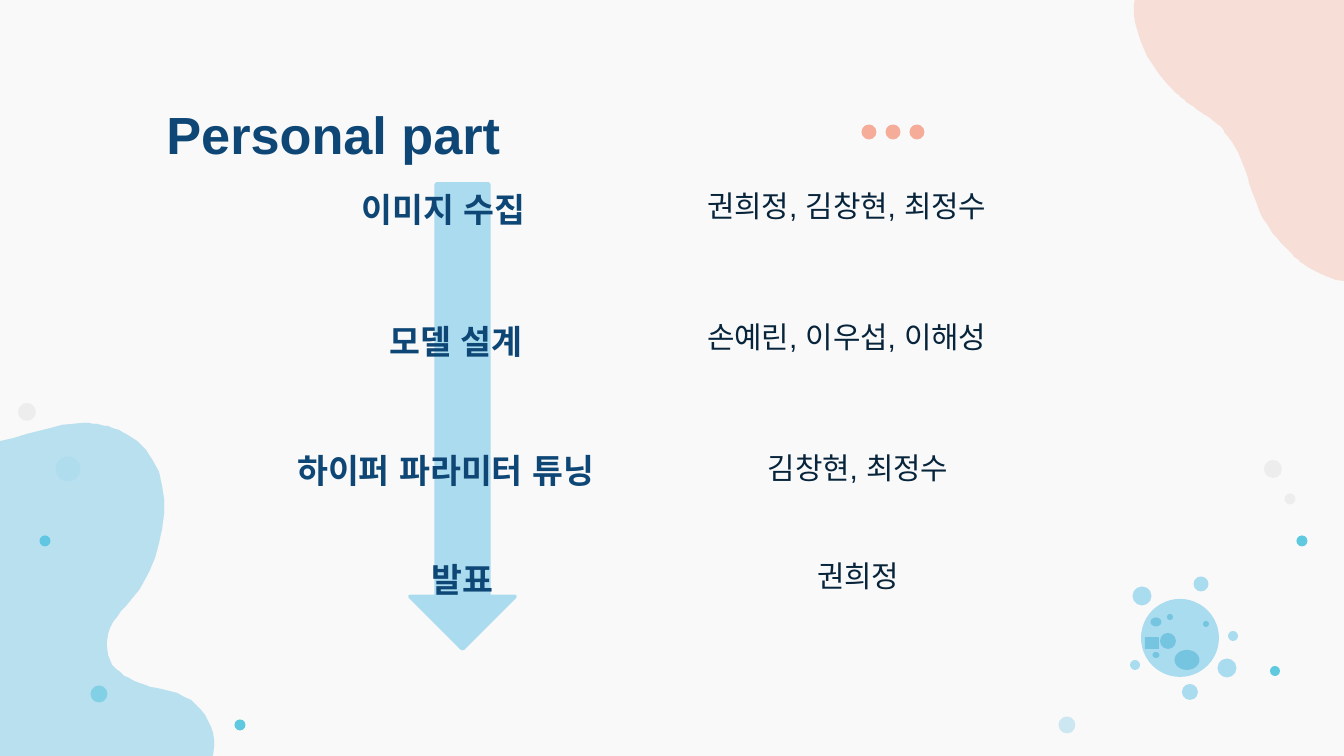
"""Build the "Personal part" slide: a downward flow of tasks and the people doing them."""
from dataclasses import dataclass

from lxml import etree
from pptx import Presentation
from pptx.dml.color import RGBColor
from pptx.enum import shapes, text
from pptx.oxml.ns import qn

PX = 914400 / 134.4
BACKGROUND = RGBColor(0xF9, 0xF9, 0xF9)
CORAL = RGBColor(0xF5, 0xAD, 0x9A)
SKY = RGBColor(0xAA, 0xDB, 0xEE)
PLANET = RGBColor(0xAA, 0xDC, 0xEF)
CRATER = RGBColor(0x75, 0xC4, 0xE0)
TEAL = RGBColor(0x02, 0xAC, 0xD0)
GRAY = RGBColor(0xED, 0xED, 0xED)
NAVY = RGBColor(0x0E, 0x47, 0x76)
INK = RGBColor(0x07, 0x24, 0x3B)

Point = tuple[int, int]


@dataclass(frozen=True)
class Dot:
    center_x: int
    center_y: int
    width: int
    height: int
    color: RGBColor
    opacity: int = 100


@dataclass(frozen=True)
class Blob:
    points: list[Point]
    color: RGBColor
    opacity: int


@dataclass(frozen=True)
class Label:
    words: str
    left: int
    top: int
    width: int
    height: int
    size: int
    color: RGBColor
    bold: bool = False
    centered: bool = False


CORAL_BLOB = Blob([
    (1289, 251), (1294, 257), (1300, 262), (1306, 266), (1334, 285), (1370, 289), (1394, 267),
    (1403, 259), (1419, 247), (1434, 239), (1447, 234), (1500, 223), (1513, 192),
    (1550, 110), (1510, 35), (1456, -19), (1413, -62), (1362, -90), (1337, -93),
    (1292, -98), (1207, -79), (1191, -73), (1177, -67), (1165, -56), (1154, -44),
    (1141, -30), (1133, -6), (1134, 15), (1137, 43), (1153, 70), (1173, 90),
    (1179, 95), (1184, 101), (1191, 105), (1202, 113), (1213, 120), (1222, 128),
    (1223, 129), (1224, 131), (1225, 133), (1241, 151), (1245, 172), (1253, 194),
    (1260, 215), (1271, 235), (1289, 251),
], CORAL, 34)
SKY_BLOB = Blob([
    (82, 423), (47, 423), (-16, 452), (-60, 454), (-64, 456), (-69, 456), (-73, 456),
    (-93, 456), (-117, 453), (-140, 453), (-175, 453), (-210, 460), (-233, 492),
    (-278, 563), (-364, 558), (-364, 622), (-364, 677), (-293, 694), (-293, 801),
    (-293, 801), (121, 801), (121, 801), (181, 801), (211, 781), (214, 747),
    (215, 719), (196, 695), (161, 689), (141, 685), (113, 676), (108, 655),
    (99, 625), (130, 606), (142, 585), (172, 534), (175, 458), (126, 434),
    (112, 426), (97, 423), (82, 423),
], SKY, 57)

BUBBLES = [
    Dot(68, 469, 25, 25, SKY, 57), Dot(99, 694, 17, 17, TEAL, 62),
    Dot(1290, 499, 11, 11, GRAY), Dot(27, 412, 18, 18, GRAY),
    Dot(45, 541, 11, 11, TEAL), Dot(240, 725, 11, 11, TEAL, 62),
    Dot(1275, 671, 10, 10, TEAL, 62), Dot(1067, 725, 17, 17, SKY, 57),
    Dot(1273, 469, 18, 18, GRAY), Dot(1302, 541, 11, 11, TEAL, 62),
]
PLANET_DOTS = [
    Dot(1190, 692, 16, 16, PLANET), Dot(1201, 584, 15, 15, PLANET),
    Dot(1227, 668, 19, 19, PLANET), Dot(1142, 596, 19, 19, PLANET),
    Dot(1135, 665, 10, 10, PLANET), Dot(1233, 636, 10, 10, PLANET),
    Dot(1180, 638, 78, 78, PLANET), Dot(1156, 655, 7, 6, CRATER),
    Dot(1168, 641, 16, 16, CRATER), Dot(1187, 660, 25, 20, CRATER),
    Dot(1156, 622, 11, 9, CRATER), Dot(1206, 624, 6, 6, CRATER),
    Dot(1170, 617, 6, 6, CRATER),
]
CORAL_DOTS = [Dot(869 + 24 * index, 132, 15, 15, CORAL) for index in range(3)]

TITLE = Label("Personal part", 153, 89, 566, 70, 28, NAVY, True)
TASKS = [
    Label("이미지 수집", 348, 191, 328, 36, 18, NAVY, True),
    Label("모델 설계", 376, 323, 328, 36, 18, NAVY, True),
    Label("하이퍼 파라미터 튜닝", 284, 453, 403, 34, 18, NAVY, True),
    Label("발표", 261, 562, 403, 34, 18, NAVY, True, True),
]
PEOPLE = [
    Label(names, 694, top, 328, 36, 16, INK, centered=centered)
    for names, top, centered in (
        ("권희정, 김창현, 최정수", 188, False),
        ("손예린, 이우섭, 이해성", 319, False),
        ("김창현, 최정수", 450, True),
        ("권희정", 558, True),
    )
]


def emu(*lengths: int) -> list[int]:
    return [round(length * PX) for length in lengths]


def paint(shape, color: RGBColor, opacity: int = 100) -> None:
    shape.shadow.inherit = False
    shape.fill.solid()
    shape.fill.fore_color.rgb = color
    shape.line.fill.background()
    if opacity < 100:
        color_element = shape._element.spPr.find(f"{qn('a:solidFill')}/{qn('a:srgbClr')}")
        etree.SubElement(color_element, qn("a:alpha"), val=str(opacity * 1000))


def draw_dot(slide, dot: Dot, kind=shapes.MSO_SHAPE.OVAL) -> None:
    left, top = dot.center_x - dot.width / 2, dot.center_y - dot.height / 2
    shape = slide.shapes.add_shape(kind, *emu(left, top, dot.width, dot.height))
    paint(shape, dot.color, dot.opacity)


def curve_points(points: list[Point], steps: int = 12) -> list[tuple[float, float]]:
    outline = []
    for start in range(0, len(points) - 1, 3):
        corners = points[start:start + 4]
        for step in range(1, steps + 1):
            t = step / steps
            weights = ((1 - t) ** 3, 3 * t * (1 - t) ** 2, 3 * t * t * (1 - t), t ** 3)
            outline.append(tuple(
                sum(weight * corner[axis] for weight, corner in zip(weights, corners))
                for axis in (0, 1)
            ))
    return outline


def draw_blob(slide, blob: Blob) -> None:
    builder = slide.shapes.build_freeform(*blob.points[0], scale=PX)
    builder.add_line_segments(curve_points(blob.points), close=True)
    paint(builder.convert_to_shape(), blob.color, blob.opacity)


def write_label(shape, label: Label, anchor=text.MSO_ANCHOR.MIDDLE) -> None:
    shape.left, shape.top, shape.width, shape.height = emu(
        label.left, label.top, label.width, label.height)
    frame = shape.text_frame
    frame.text = label.words
    frame.word_wrap = True
    frame.auto_size = text.MSO_AUTO_SIZE.NONE
    frame.vertical_anchor = anchor
    frame.margin_left = frame.margin_top = frame.margin_right = frame.margin_bottom = 91440
    paragraph = frame.paragraphs[0]
    paragraph.alignment = text.PP_ALIGN.CENTER if label.centered else text.PP_ALIGN.LEFT
    font = paragraph.font
    font.name, font.size, font.bold = "Arial", label.size * 12700, label.bold
    font.color.rgb = label.color
    properties = paragraph._p.find(f"{qn('a:pPr')}/{qn('a:defRPr')}")
    etree.SubElement(properties, qn("a:ea"), typeface="Arial")


def draw_arrow(slide) -> None:
    arrow = slide.shapes.add_shape(shapes.MSO_SHAPE.DOWN_ARROW, *emu(410, 184, 105, 465))
    paint(arrow, SKY)
    arrow.line.color.rgb = SKY
    arrow.line.width = 2 * 12700


def main() -> None:
    presentation = Presentation()
    presentation.slide_width, presentation.slide_height = emu(1344, 756)
    slide = presentation.slides.add_slide(presentation.slide_layouts[5])
    slide.background.fill.solid()
    slide.background.fill.fore_color.rgb = BACKGROUND
    draw_blob(slide, CORAL_BLOB)
    draw_blob(slide, SKY_BLOB)
    for dot in BUBBLES + PLANET_DOTS:
        draw_dot(slide, dot)
    draw_dot(slide, Dot(1152, 643, 14, 12, CRATER), shapes.MSO_SHAPE.RECTANGLE)
    draw_arrow(slide)
    write_label(slide.shapes.title, TITLE, text.MSO_ANCHOR.TOP)
    draw_blob(slide, SKY_BLOB)
    for dot in CORAL_DOTS:
        draw_dot(slide, dot)
    for label in TASKS + PEOPLE:
        write_label(slide.shapes.add_textbox(0, 0, 0, 0), label)
    presentation.save("out.pptx")


if __name__ == "__main__":
    main()
